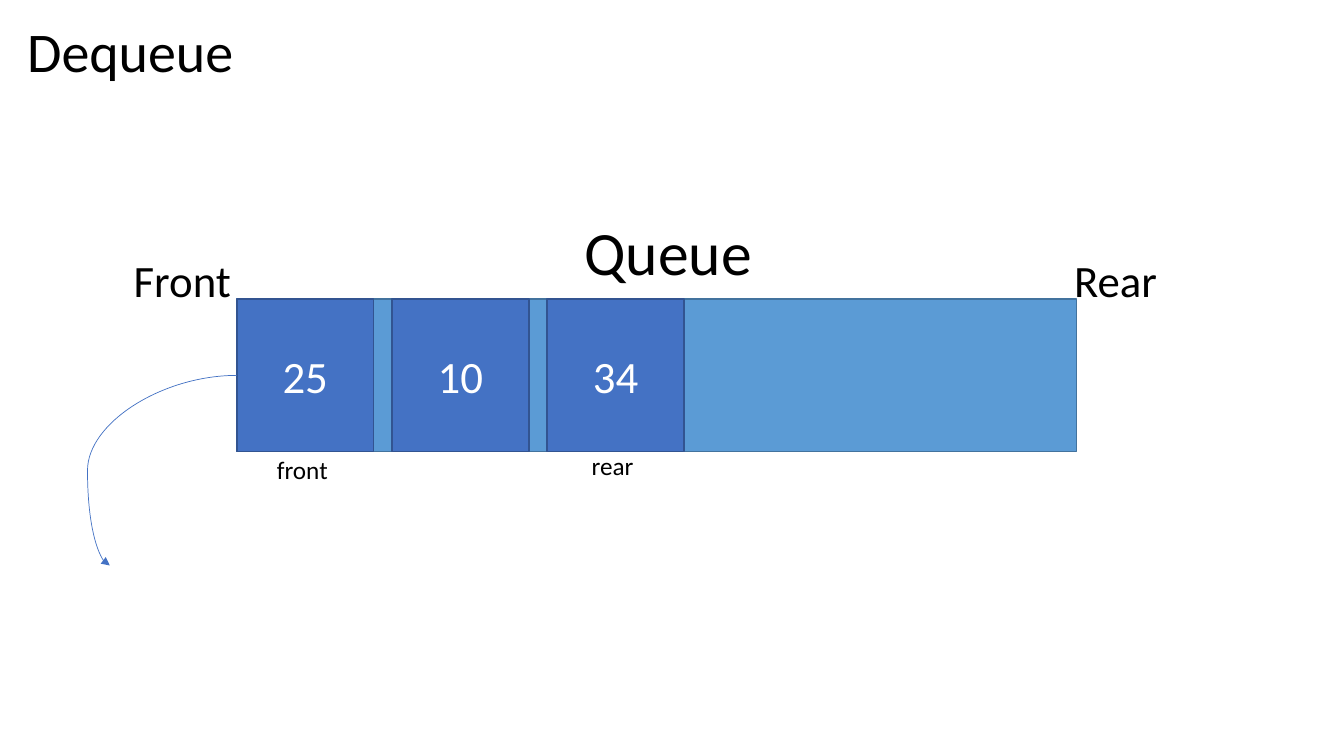
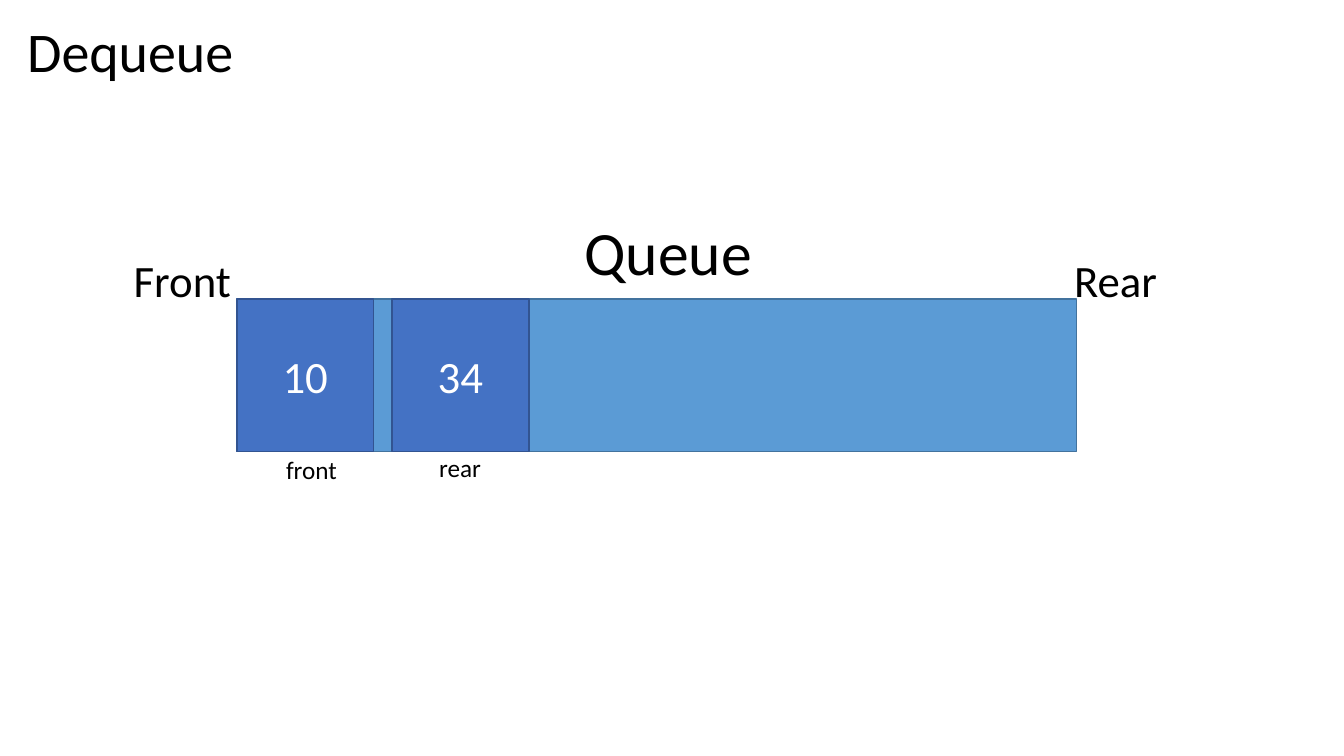
from dataclasses import dataclass

from lxml import etree
from pptx import Presentation
from pptx.dml.color import RGBColor
from pptx.enum.shapes import MSO_CONNECTOR, MSO_SHAPE
from pptx.enum.text import MSO_ANCHOR, MSO_AUTO_SIZE, PP_ALIGN
from pptx.oxml.ns import qn
from pptx.shapes.autoshape import Shape
from pptx.slide import Slide
from pptx.text.text import TextFrame
from pptx.util import Cm, Pt

RECTANGLE = MSO_SHAPE.RECTANGLE
CURVE = MSO_CONNECTOR.CURVE
LEFT, CENTER = PP_ALIGN.LEFT, PP_ALIGN.CENTER
TOP, MIDDLE = MSO_ANCHOR.TOP, MSO_ANCHOR.MIDDLE
FIT_SHAPE = MSO_AUTO_SIZE.SHAPE_TO_FIT_TEXT

FONT = "Calibri"
COLORS = {
    "text": "000000",
    "cell_text": "FFFFFF",
    "queue": "5B9BD5",
    "queue_border": "43739E",
    "cell": "4472C4",
    "cell_border": "325491",
}
TITLE_ONLY = 5
QUEUE_LEFT, QUEUE_TOP = 5.97, 7.54
QUEUE_WIDTH, QUEUE_HEIGHT = 21.16, 3.84
CELL_WIDTH, CELL_STEP = 3.45, 3.91


@dataclass(frozen=True)
class Label:
    text: str
    left: float
    top: float
    width: float
    height: float
    size: int


@dataclass(frozen=True)
class QueueState:
    values: tuple[int, ...]
    pointers: tuple[Label, ...]
    removes_front: bool


TITLE = Label("Dequeue", 0.43, 0.28, 8.89, 1.96, 40)
QUEUE_LABELS = (
    Label("Queue", 14.48, 5.26, 4.93, 2.13, 44),
    Label("Front", 3.12, 6.25, 3.1, 1.63, 32),
    Label("Rear", 26.82, 6.25, 3.45, 1.63, 32),
)


def pointer(text: str, left: float, top: float) -> Label:
    return Label(text, left, top, 2.1, 1.02, 18)


STATES = (
    QueueState(
        (25, 10, 34),
        (pointer("front", 6.73, 11.33), pointer("rear", 14.66, 11.23)),
        True,
    ),
    QueueState(
        (10, 34),
        (pointer("front", 6.96, 11.33), pointer("rear", 10.82, 11.28)),
        False,
    ),
)


def color(name: str) -> RGBColor:
    return RGBColor.from_string(COLORS[name])


def write(frame: TextFrame, text: str, size: int, color_name: str, alignment: PP_ALIGN) -> None:
    paragraph = frame.paragraphs[0]
    paragraph.alignment = alignment
    run = paragraph.add_run()
    run.text = text
    run.font.name = FONT
    run.font.size = Pt(size)
    run.font.color.rgb = color(color_name)


def fill_label(shape: Shape, label: Label) -> None:
    frame = shape.text_frame
    frame.word_wrap = True
    frame.auto_size = FIT_SHAPE
    frame.vertical_anchor = TOP
    write(frame, label.text, label.size, "text", LEFT)


def add_title(slide: Slide) -> None:
    title = slide.shapes.title
    title.left, title.top = Cm(TITLE.left), Cm(TITLE.top)
    title.width, title.height = Cm(TITLE.width), Cm(TITLE.height)
    fill_label(title, TITLE)


def add_label(slide: Slide, label: Label) -> None:
    box = slide.shapes.add_textbox(
        Cm(label.left), Cm(label.top), Cm(label.width), Cm(label.height)
    )
    fill_label(box, label)


def add_block(slide: Slide, left: float, width: float, style: str) -> Shape:
    block = slide.shapes.add_shape(
        RECTANGLE, Cm(left), Cm(QUEUE_TOP), Cm(width), Cm(QUEUE_HEIGHT)
    )
    block.shadow.inherit = False
    block.fill.solid()
    block.fill.fore_color.rgb = color(style)
    block.line.color.rgb = color(f"{style}_border")
    block.line.width = Pt(1)
    return block


def add_cell(slide: Slide, index: int, value: int) -> None:
    cell = add_block(slide, QUEUE_LEFT + index * CELL_STEP, CELL_WIDTH, "cell")
    cell.text_frame.vertical_anchor = MIDDLE
    write(cell.text_frame, str(value), 32, "cell_text", CENTER)


def add_exit_arrow(slide: Slide) -> None:
    arrow = slide.shapes.add_connector(
        CURVE,
        Cm(QUEUE_LEFT), Cm(QUEUE_TOP + QUEUE_HEIGHT / 2),
        Cm(2.77), Cm(14.25),
    )
    arrow.line.color.rgb = color("cell")
    arrow.line.width = Pt(0.5)
    properties = arrow.element.spPr
    geometry = properties.find(qn("a:prstGeom"))
    adjustments = geometry.find(qn("a:avLst"))
    if adjustments is None:
        adjustments = etree.SubElement(geometry, qn("a:avLst"))
    etree.SubElement(adjustments, qn("a:gd"), name="adj1", fmla="val 117600")
    etree.SubElement(properties.find(qn("a:ln")), qn("a:tailEnd"), type="triangle")
    etree.SubElement(properties, qn("a:effectLst"))


def add_queue_slide(presentation: Presentation, state: QueueState) -> None:
    slide = presentation.slides.add_slide(presentation.slide_layouts[TITLE_ONLY])
    add_title(slide)
    add_block(slide, QUEUE_LEFT, QUEUE_WIDTH, "queue")
    for label in QUEUE_LABELS + state.pointers:
        add_label(slide, label)
    for index, value in enumerate(state.values):
        add_cell(slide, index, value)
    if state.removes_front:
        add_exit_arrow(slide)


def main() -> None:
    presentation = Presentation()
    presentation.slide_width = Cm(33.87)
    presentation.slide_height = Cm(19.05)
    for state in STATES:
        add_queue_slide(presentation, state)
    presentation.save("out.pptx")


if __name__ == "__main__":
    main()
